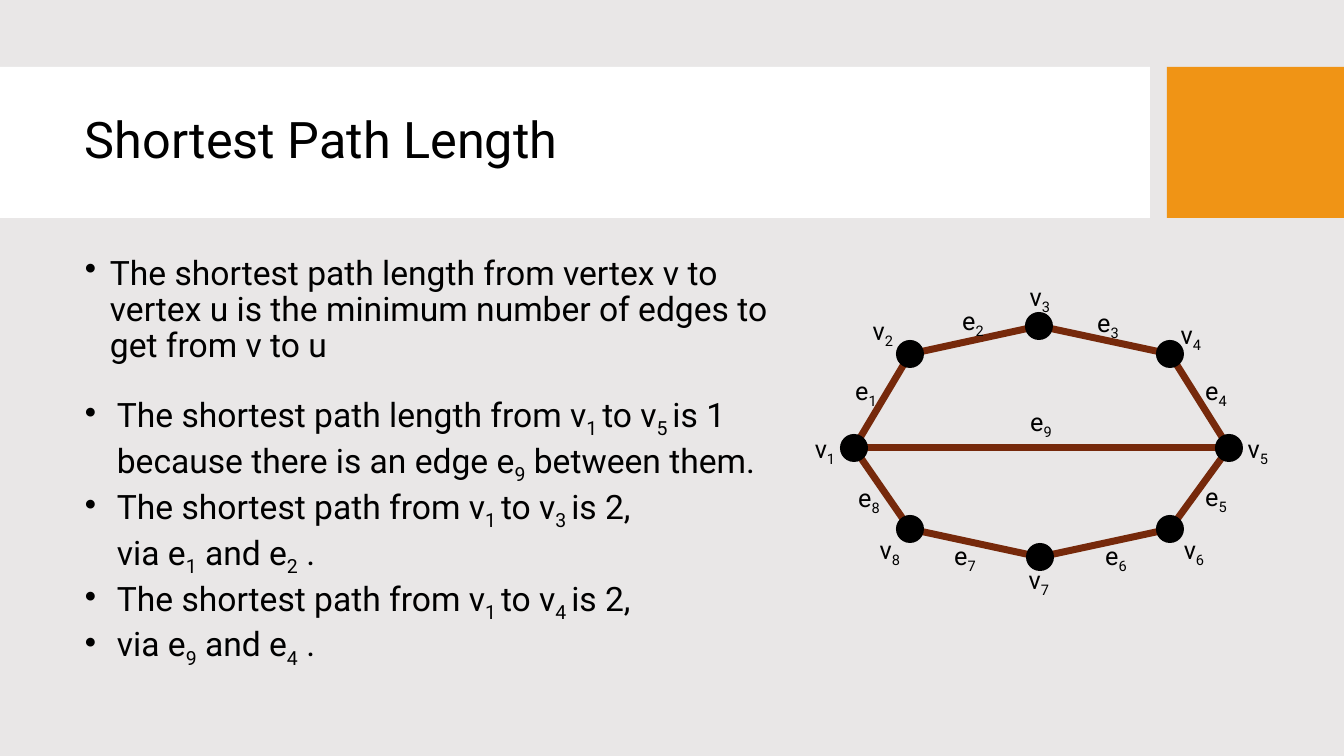
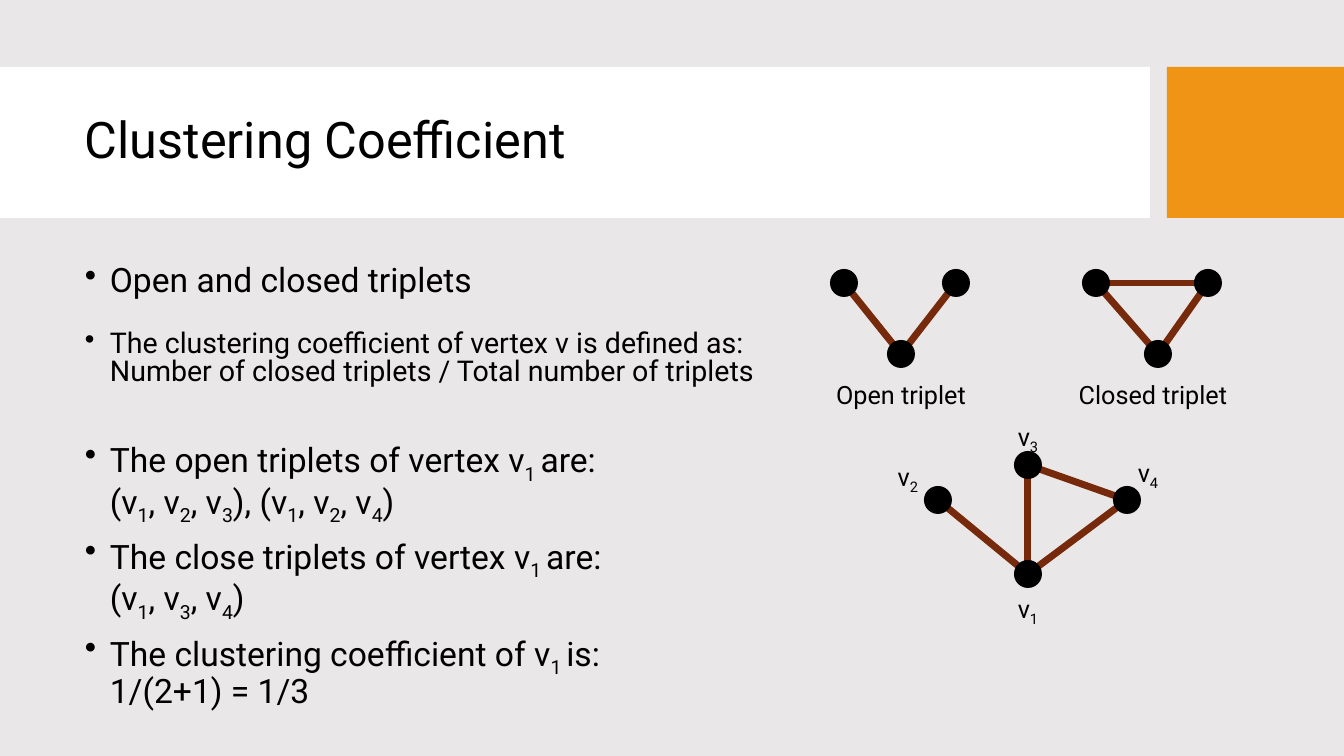
from lxml.etree import SubElement
from pptx import Presentation
from pptx.dml.color import RGBColor
from pptx.enum.shapes import MSO_CONNECTOR, MSO_SHAPE
from pptx.enum.text import MSO_ANCHOR, PP_ALIGN
from pptx.oxml.ns import qn
from pptx.util import Pt

EMU_PER_PX = 914400 / 100.8
SLIDE_WIDTH, SLIDE_HEIGHT = 1344, 756

BACKGROUND = RGBColor(0xE9, 0xE7, 0xE7)
WHITE = RGBColor(0xFF, 0xFF, 0xFF)
ORANGE = RGBColor(0xF0, 0x94, 0x15)
BROWN = RGBColor(0x76, 0x29, 0x0B)
BLACK = RGBColor(0, 0, 0)

FONT = "Roboto"
TEXT_LEFT = 75
BAND_TOP, BAND_HEIGHT = 67, 151
NODE_SIZE = 28
LABEL_WIDTH, LABEL_HEIGHT = 42, 40


def px(*lengths):
    return [round(length * EMU_PER_PX) for length in lengths]


def add_solid(shapes, preset, box, color):
    shape = shapes.add_shape(preset, *px(*box))
    shape.shadow.inherit = False
    shape.fill.solid()
    shape.fill.fore_color.rgb = color
    shape.line.fill.background()


def add_runs(paragraph, text, size):
    """Add text in which ~ switches subscript on and off."""
    for part_index, part in enumerate(text.split("~")):
        for line_index, line in enumerate(part.split("\n")):
            if line_index:
                paragraph.add_line_break()
            if not line:
                continue
            run = paragraph.add_run()
            run.text = line
            run.font.name = FONT
            run.font.size = Pt(size)
            run.font.color.rgb = BLACK
            if part_index % 2:
                run.font._element.set("baseline", "-25000")


def add_text(shapes, box, *texts, size=24, align=PP_ALIGN.LEFT, anchor=MSO_ANCHOR.TOP,
             wrap=True, indent=0, line_spacing=1.0, space_before=0):
    """Add one paragraph per text; an indent in px gives them bullets."""
    frame = shapes.add_textbox(*px(*box)).text_frame
    frame.word_wrap = wrap
    frame.vertical_anchor = anchor
    for index, text in enumerate(texts):
        paragraph = frame.add_paragraph() if index else frame.paragraphs[0]
        if indent:
            properties = paragraph._p.get_or_add_pPr()
            margin, = px(indent)
            properties.set("marL", str(margin))
            properties.set("indent", str(-margin))
            SubElement(properties, qn("a:buChar")).set("char", "•")
        paragraph.alignment = align
        paragraph.line_spacing = line_spacing
        paragraph.space_before = Pt(space_before if index else 0)
        paragraph.font.size = Pt(size)
        add_runs(paragraph, text, size)


def add_titled_slide(presentation, title):
    slide = presentation.slides.add_slide(presentation.slide_layouts[6])
    for left, width, color in ((0, 1150, WHITE), (1167, 177, ORANGE)):
        add_solid(slide.shapes, MSO_SHAPE.RECTANGLE,
                  (left, BAND_TOP, width, BAND_HEIGHT), color)
    add_text(slide.shapes, (TEXT_LEFT, 83, 1059, 119), title, size=36,
             anchor=MSO_ANCHOR.MIDDLE, line_spacing=0.9)
    return slide


def add_graph(slide, left, top, nodes, edges, labels):
    """Draw a graph whose node and label centres are relative to left, top."""
    shapes = slide.shapes.add_group_shape().shapes
    centres = {name: (left + x, top + y) for name, (x, y) in nodes.items()}
    for start, end in edges:
        edge = shapes.add_connector(MSO_CONNECTOR.STRAIGHT,
                                    *px(*centres[start], *centres[end]))
        edge.line.color.rgb = BROWN
        edge.line.width = Pt(5)
        SubElement(edge._element.spPr, qn("a:effectLst"))
    for x, y in centres.values():
        add_solid(shapes, MSO_SHAPE.OVAL,
                  (x - NODE_SIZE // 2, y - NODE_SIZE // 2, NODE_SIZE, NODE_SIZE), BLACK)
    for text, (x, y) in labels.items():
        width = LABEL_WIDTH if "~" in text else 170
        add_text(shapes, (left + x - width // 2, top + y - LABEL_HEIGHT // 2,
                          width, LABEL_HEIGHT),
                 text, size=18, align=PP_ALIGN.CENTER, wrap=False)


def build_shortest_path(presentation):
    slide = add_titled_slide(presentation, "Shortest Path Length")
    add_text(slide.shapes, (TEXT_LEFT, 251, 735, 138),
             "The shortest path length from vertex v to vertex u is the minimum "
             "number of edges to get from v to u",
             indent=25, line_spacing=0.9)
    add_text(slide.shapes, (TEXT_LEFT, 389, 716, 285),
             "The shortest path length from v~1 ~to v~5 ~is 1 \n"
             "because there is an edge e~9~ between them.",
             "The shortest path from v~1 ~to v~3 ~is 2, \nvia e~1~ and e~2~ .",
             "The shortest path from v~1 ~to v~4 ~is 2,",
             "via e~9~ and e~4~ .",
             indent=32, wrap=False)

    nodes = {1: (14, 136), 2: (70, 42), 3: (199, 14), 4: (330, 42),
             5: (389, 136), 6: (330, 217), 7: (200, 245), 8: (70, 217)}
    ring = [(node, node % 8 + 1) for node in nodes]
    vertex_labels = [(-15, 136), (43, 18), (200, -16), (351, 22),
                     (418, 136), (354, 237), (199, 267), (50, 237)]
    edge_labels = [(26, 78), (133, 8), (268, 10), (376, 78), (376, 184),
                   (276, 243), (125, 243), (29, 185), (201, 109)]
    labels = {f"{letter}~{number}": centre
              for letter, label_centres in (("v", vertex_labels), ("e", edge_labels))
              for number, centre in enumerate(label_centres, 1)}
    add_graph(slide, 840, 312, nodes, ring + [(1, 5)], labels)


def build_clustering(presentation):
    slide = add_titled_slide(presentation, "Clustering Coefficient")
    add_text(slide.shapes, (TEXT_LEFT, 258, 452, 73), "Open and closed triplets",
             indent=25, line_spacing=0.9)
    add_text(slide.shapes, (TEXT_LEFT, 327, 733, 73),
             "The clustering coefficient of vertex v is defined as:\n"
             "Number of closed triplets / Total number of triplets",
             size=20.4, indent=25, line_spacing=0.8)
    add_text(slide.shapes, (TEXT_LEFT, 435, 696, 274),
             "The open triplets of vertex v~1 ~are:\n"
             "(v~1~, v~2~, v~3~), (v~1~, v~2~, v~4~)",
             "The close triplets of vertex v~1 ~are:\n(v~1~, v~3~, v~4~)",
             "The clustering coefficient of v~1 ~is:\n1/(2+1) = 1/3",
             indent=25, line_spacing=0.9, space_before=10)

    sides = [("left", "bottom"), ("bottom", "right")]
    for left, bottom_x, edges, caption in (
            (830, 71, sides, "Open triplet"),
            (1082, 76, sides + [("left", "right")], "Closed triplet")):
        nodes = {"left": (14, 14), "right": (126, 14), "bottom": (bottom_x, 85)}
        add_graph(slide, left, 269, nodes, edges, {caption: (71, 125)})

    add_graph(slide, 924, 451,
              {1: (104, 123), 2: (14, 49), 3: (104, 14), 4: (203, 49)},
              [(2, 1), (1, 4), (3, 4), (3, 1)],
              {"v~1": (104, 157), "v~2": (-16, 25), "v~3": (104, -15), "v~4": (224, 21)})


def main():
    presentation = Presentation()
    presentation.slide_width, presentation.slide_height = px(SLIDE_WIDTH, SLIDE_HEIGHT)
    background = presentation.slide_master.background.fill
    background.solid()
    background.fore_color.rgb = BACKGROUND
    build_shortest_path(presentation)
    build_clustering(presentation)
    presentation.save("out.pptx")


if __name__ == "__main__":
    main()
